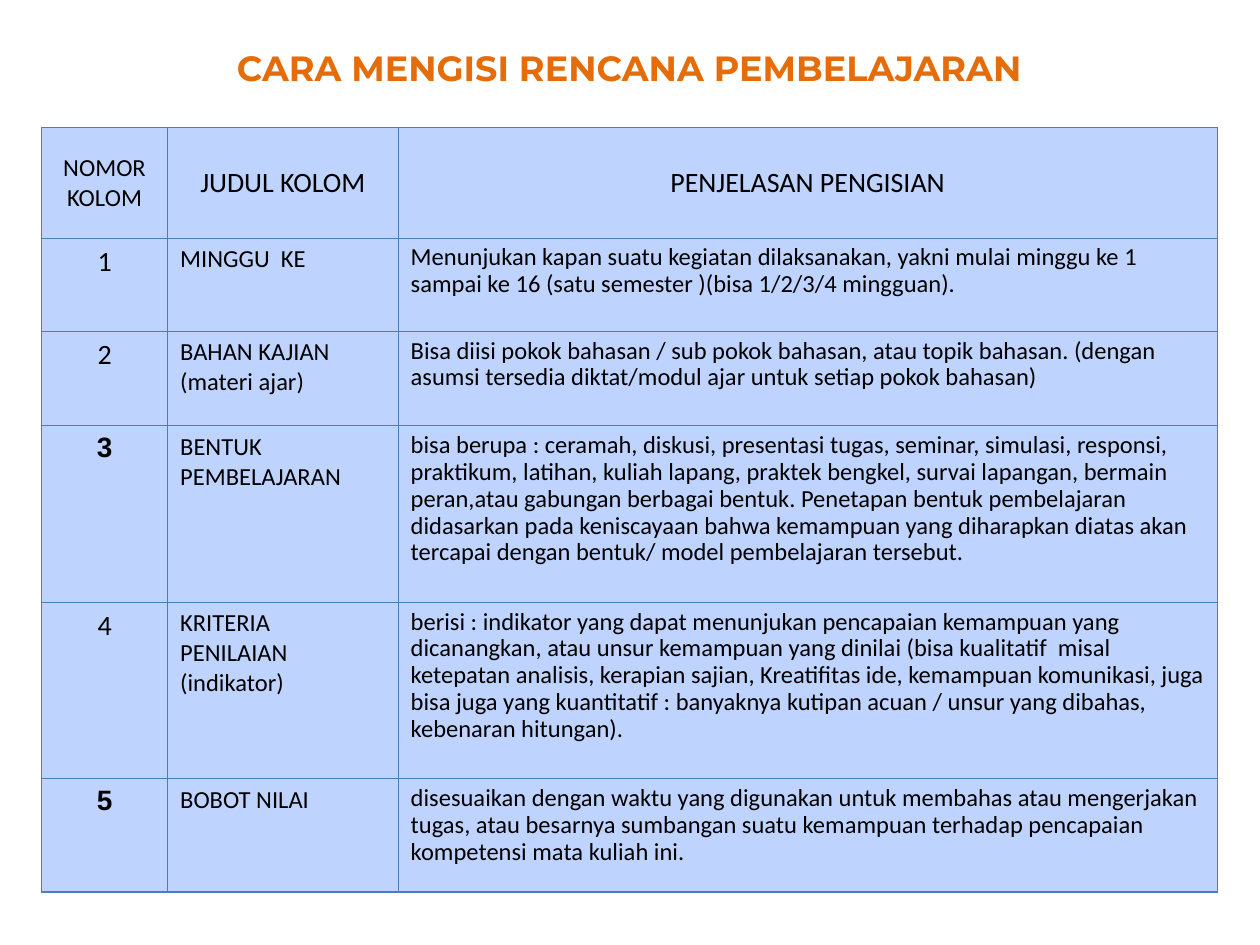
from dataclasses import dataclass

from lxml import etree
from pptx import Presentation
from pptx.dml.color import RGBColor
from pptx.enum import text as t
from pptx.oxml import ns
from pptx.util import Inches, Pt

ORANGE = RGBColor(0xE4, 0x6C, 0x0A)
BLACK = RGBColor(0, 0, 0)
PALE = RGBColor(0xBF, 0xD3, 0xFF)
EDGE = RGBColor(0x4B, 0x7E, 0xBC)

LEFT, WIDTH = 0.33, 9.33
COLS = (1, 1.83, 6.5)
HEAD = ("NOMOR KOLOM", "JUDUL KOLOM", "PENJELASAN PENGISIAN")
HIGH = 0.88


@dataclass
class Style:
    size: int
    face: str = "Calibri"
    bold: bool = False
    color: RGBColor = BLACK
    align: t.PP_ALIGN = t.PP_ALIGN.LEFT
    above: float = 0.2
    line: float = 1.0


@dataclass
class Row:
    title: str
    body: str
    high: float
    bold: bool = False


ROWS = (
    Row("MINGGU  KE",
        "Menunjukan kapan suatu kegiatan dilaksanakan, yakni mulai minggu ke 1 "
        "sampai ke 16 (satu semester )(bisa 1/2/3/4 mingguan).", 0.74),
    Row("BAHAN KAJIAN (materi ajar)",
        "Bisa diisi pokok bahasan / sub pokok bahasan, atau topik bahasan. (dengan "
        "asumsi tersedia diktat/modul ajar untuk setiap pokok bahasan)", 0.75),
    Row("BENTUK PEMBELAJARAN",
        "bisa berupa : ceramah, diskusi, presentasi tugas, seminar, simulasi, responsi, "
        "praktikum, latihan, kuliah lapang, praktek bengkel, survai lapangan, bermain "
        "peran,atau gabungan berbagai bentuk. Penetapan bentuk pembelajaran "
        "didasarkan pada keniscayaan bahwa kemampuan yang diharapkan diatas akan "
        "tercapai dengan bentuk/ model pembelajaran tersebut.", 1.4, True),
    Row("KRITERIA\vPENILAIAN (indikator)",
        "berisi : indikator yang dapat menunjukan pencapaian kemampuan yang "
        "dicanangkan, atau unsur kemampuan yang dinilai (bisa kualitatif  misal "
        "ketepatan analisis, kerapian sajian, Kreatifitas ide, kemampuan komunikasi, juga "
        "bisa juga yang kuantitatif : banyaknya kutipan acuan / unsur yang dibahas, "
        "kebenaran hitungan).", 1.4),
    Row("BOBOT NILAI",
        "disesuaikan dengan waktu yang digunakan untuk membahas atau mengerjakan "
        "tugas, atau besarnya sumbangan suatu kemampuan terhadap pencapaian "
        "kompetensi mata kuliah ini.", 0.9, True),
)


def write(frame, words: str, style: Style) -> None:
    para = frame.paragraphs[0]
    para.text = words
    para.alignment = style.align
    para.space_before = Pt(round(style.size * style.above, 1))
    para.line_spacing = style.line
    para.font.size = Pt(style.size)
    para.font.name = style.face
    para.font.bold = style.bold
    para.font.color.rgb = style.color


def border(cell) -> None:
    props = cell._tc.get_or_add_tcPr()
    for place, side in enumerate(("lnL", "lnR", "lnT", "lnB")):
        line = etree.Element(ns.qn(f"a:{side}"), w=str(Pt(0.75)))
        fill = etree.SubElement(line, ns.qn("a:solidFill"))
        etree.SubElement(fill, ns.qn("a:srgbClr"), val=str(EDGE))
        props.insert(place, line)


def fill(cell, words: str, style: Style) -> None:
    cell.fill.solid()
    cell.fill.fore_color.rgb = PALE
    border(cell)
    write(cell.text_frame, words, style)


def title(slide) -> None:
    box = slide.shapes.add_textbox(
        Inches(LEFT), Inches(0.16), Inches(WIDTH), Inches(0.76))
    frame = box.text_frame
    frame.word_wrap = True
    frame.vertical_anchor = t.MSO_ANCHOR.MIDDLE
    write(frame, "CARA MENGISI RENCANA PEMBELAJARAN",
          Style(20, "Montserrat", True, ORANGE, t.PP_ALIGN.CENTER, 0))


def grid(slide) -> None:
    highs = [HIGH] + [row.high for row in ROWS]
    table = slide.shapes.add_table(
        len(highs), len(COLS), Inches(LEFT), Inches(1.01),
        Inches(WIDTH), Inches(sum(highs))).table
    table.first_row = table.horz_banding = False
    for col, wide in zip(table.columns, COLS):
        col.width = Inches(wide)
    for row, high in zip(table.rows, highs):
        row.height = Inches(high)

    mid = t.PP_ALIGN.CENTER
    for col, words in enumerate(HEAD):
        cell = table.cell(0, col)
        cell.vertical_anchor = t.MSO_ANCHOR.MIDDLE
        fill(cell, words, Style(16 if col else 14, align=mid))
    for num, row in enumerate(ROWS, 1):
        face = "Arial" if row.bold else "Calibri"
        fill(table.cell(num, 0), str(num), Style(16, face, row.bold, align=mid))
        fill(table.cell(num, 1), row.title, Style(14))
        fill(table.cell(num, 2), row.body, Style(14, above=0.3, line=0.9))


def main() -> None:
    deck = Presentation()
    deck.slide_width, deck.slide_height = Inches(10), Inches(7.5)
    slide = deck.slides.add_slide(deck.slide_layouts[6])
    grid(slide)
    title(slide)
    deck.save("out.pptx")


if __name__ == "__main__":
    main()
